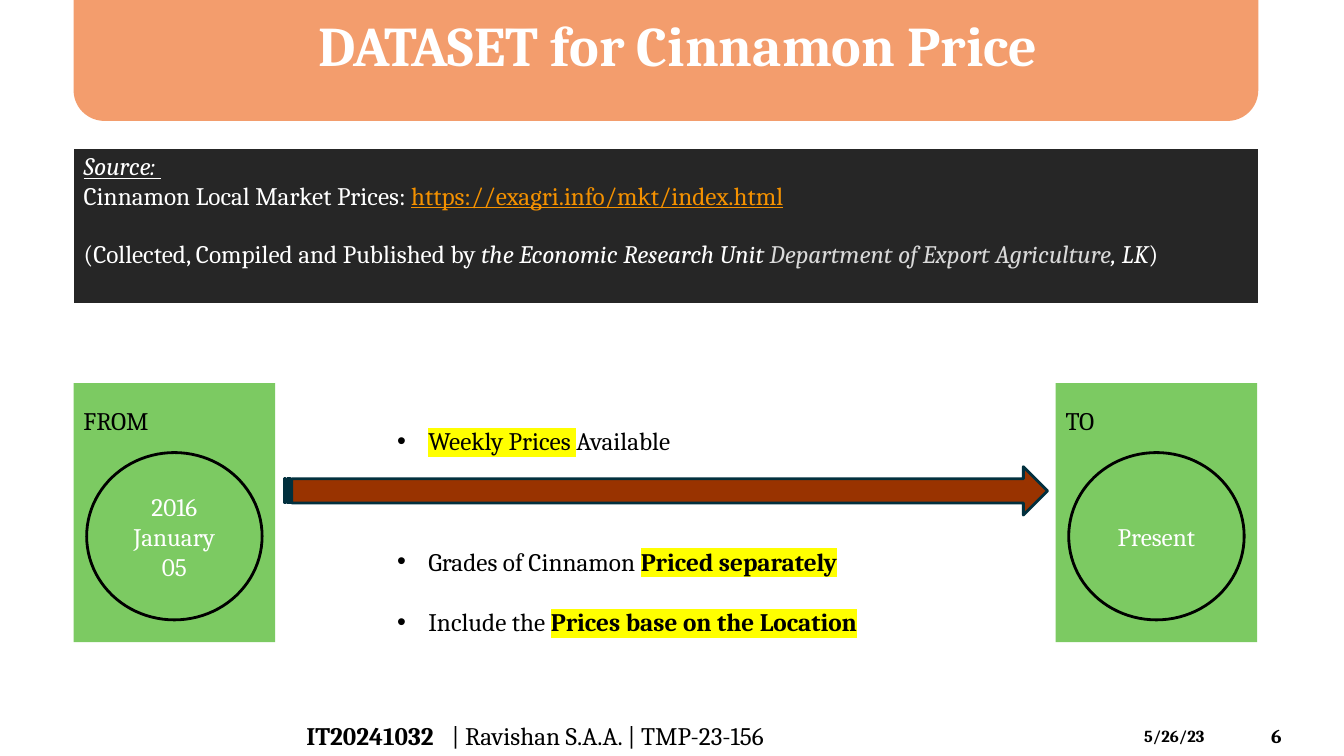
from lxml.etree import SubElement
from pptx import Presentation
from pptx.dml.color import RGBColor
from pptx.enum.shapes import MSO_SHAPE
from pptx.enum.text import MSO_ANCHOR, PP_ALIGN
from pptx.oxml.ns import qn
from pptx.util import Inches, Pt

FONT = "Cambria"
COLORS = {
    "white": "FFFFFF",
    "black": "000000",
    "banner": "F39D6D",
    "panel": "262626",
    "link": "F49100",
    "pale": "D9D9D9",
    "arrow": "993300",
    "arrow_line": "02303E",
    "green": "7CCA62",
    "highlight": "FFFF00",
}


def rgb(name):
    return RGBColor.from_string(COLORS[name])


def add_run(p, text, size=18, color="black", bold=False, italic=False,
            underline=False, highlight=False):
    r = p.add_run()
    r.text = text
    font = r.font
    font.size, font.name = Pt(size), FONT
    font.bold, font.italic, font.underline = bold, italic, underline
    font.color.rgb = rgb(color)
    if highlight:
        rPr = r._r.get_or_add_rPr()
        mark = SubElement(rPr, qn("a:highlight"))
        SubElement(mark, qn("a:srgbClr"), val=COLORS["highlight"])
        rPr.find(qn("a:solidFill")).addnext(mark)


def write(tf, paragraphs, align=PP_ALIGN.LEFT, **style):
    for i, runs in enumerate(paragraphs):
        p = tf.paragraphs[0] if i == 0 else tf.add_paragraph()
        p.alignment = align
        for text, extra in runs:
            add_run(p, text, **{**style, **extra})


def add_text(shapes, box, paragraphs, anchor=MSO_ANCHOR.TOP, **style):
    sp = shapes.add_textbox(*map(Inches, box))
    tf = sp.text_frame
    tf.word_wrap = True
    tf.vertical_anchor = anchor
    write(tf, paragraphs, **style)
    return tf


def add_block(shapes, kind, box, fill, line=None):
    sp = shapes.add_shape(kind, *map(Inches, box))
    sp.shadow.inherit = False
    sp.fill.solid()
    sp.fill.fore_color.rgb = rgb(fill)
    if line:
        sp.line.color.rgb = rgb(line)
        sp.line.width = Pt(2)
    else:
        sp.line.fill.background()
    return sp


def add_source_table(s):
    frame = s.shapes.add_table(1, 1, Inches(0.73), Inches(1.47), Inches(11.75), Inches(1.54))
    table = frame.table
    table.first_row = table.horz_banding = False
    cell = table.cell(0, 0)
    cell.fill.solid()
    cell.fill.fore_color.rgb = rgb("panel")
    tf = cell.text_frame
    write(tf, [
        [("Source: ", {"italic": True, "underline": True})],
        [("Cinnamon Local Market Prices: ", {}),
         ("https://exagri.info/mkt/index.html", {"color": "link", "underline": True})],
        [("(Collected, Compiled and Published by ", {}),
         ("the Economic Research Unit ", {"italic": True}),
         ("Department of Export Agriculture", {"color": "pale", "italic": True}),
         (", LK", {"italic": True}),
         (")", {})],
    ], color="white")
    tf.paragraphs[2].space_before = Pt(21)


def add_endpoint(s, left, label, lines):
    shapes = s.shapes.add_group_shape().shapes
    add_block(shapes, MSO_SHAPE.RECTANGLE, (left, 3.8, 2, 2.57), "green")
    circle = add_block(shapes, MSO_SHAPE.OVAL, (left + 0.13, 4.49, 1.74, 1.66), "green", "black")
    circle.text_frame.vertical_anchor = MSO_ANCHOR.MIDDLE
    write(circle.text_frame, [[(line, {})] for line in lines],
          align=PP_ALIGN.CENTER, color="white")
    add_text(shapes, (left, 3.97, 2, 0.4), [[(label, {})]])


def add_facts(s):
    strong = {"bold": True, "highlight": True}
    tf = add_text(s.shapes, (3.84, 3.87, 5.52, 2.43), [
        [("Weekly Prices ", {"highlight": True}), ("Available", {})],
        [("Grades of Cinnamon ", {}), ("Priced separately", strong)],
        [("Include the ", {}), ("Prices base on the Location", strong)],
    ])
    for p in tf.paragraphs:
        p.line_spacing = 2.0
        pPr = p._p.get_or_add_pPr()
        pPr.set("marL", str(Inches(0.31)))
        pPr.set("indent", str(-Inches(0.31)))
        SubElement(pPr, qn("a:buFont"), typeface="Arial")
        SubElement(pPr, qn("a:buChar"), char="•")
    tf.paragraphs[1].space_before = Pt(43)


def add_footer(s):
    tf = add_text(s.shapes, (2.94, 7.1, 7.45, 0.4), [
        [("IT20241032", {"bold": True}), ("\t| Ravishan S.A.A. | TMP-23-156", {})],
    ], anchor=MSO_ANCHOR.MIDDLE)
    tabs = SubElement(tf.paragraphs[0]._p.get_or_add_pPr(), qn("a:tabLst"))
    SubElement(tabs, qn("a:tab"), pos=str(Inches(1.44)), algn="l")
    add_text(s.shapes, (11.25, 7.15, 1.17, 0.3), [[("5/26/23", {})]], size=12, bold=True)
    add_text(s.shapes, (12.51, 7.1, 0.74, 0.4), [[("6", {})]],
             anchor=MSO_ANCHOR.MIDDLE, size=14, bold=True)


def main():
    prs = Presentation()
    prs.slide_width, prs.slide_height = Inches(13.33), Inches(7.5)
    s = prs.slides.add_slide(prs.slide_layouts[6])
    add_block(s.shapes, MSO_SHAPE.ROUNDED_RECTANGLE, (0.73, -0.63, 11.75, 1.83), "banner")
    add_text(s.shapes, (0.33, 0, 12.78, 0.87), [[("DATASET for Cinnamon Price", {})]],
             anchor=MSO_ANCHOR.MIDDLE, align=PP_ALIGN.CENTER, size=40, color="white", bold=True)
    add_source_table(s)
    add_block(s.shapes, MSO_SHAPE.STRIPED_RIGHT_ARROW, (2.82, 4.63, 7.57, 0.48),
              "arrow", "arrow_line")
    add_endpoint(s, 0.73, "FROM", ["2016", "January", "05"])
    add_endpoint(s, 10.47, "TO", ["Present"])
    add_facts(s)
    add_footer(s)
    prs.save("out.pptx")


if __name__ == "__main__":
    main()
